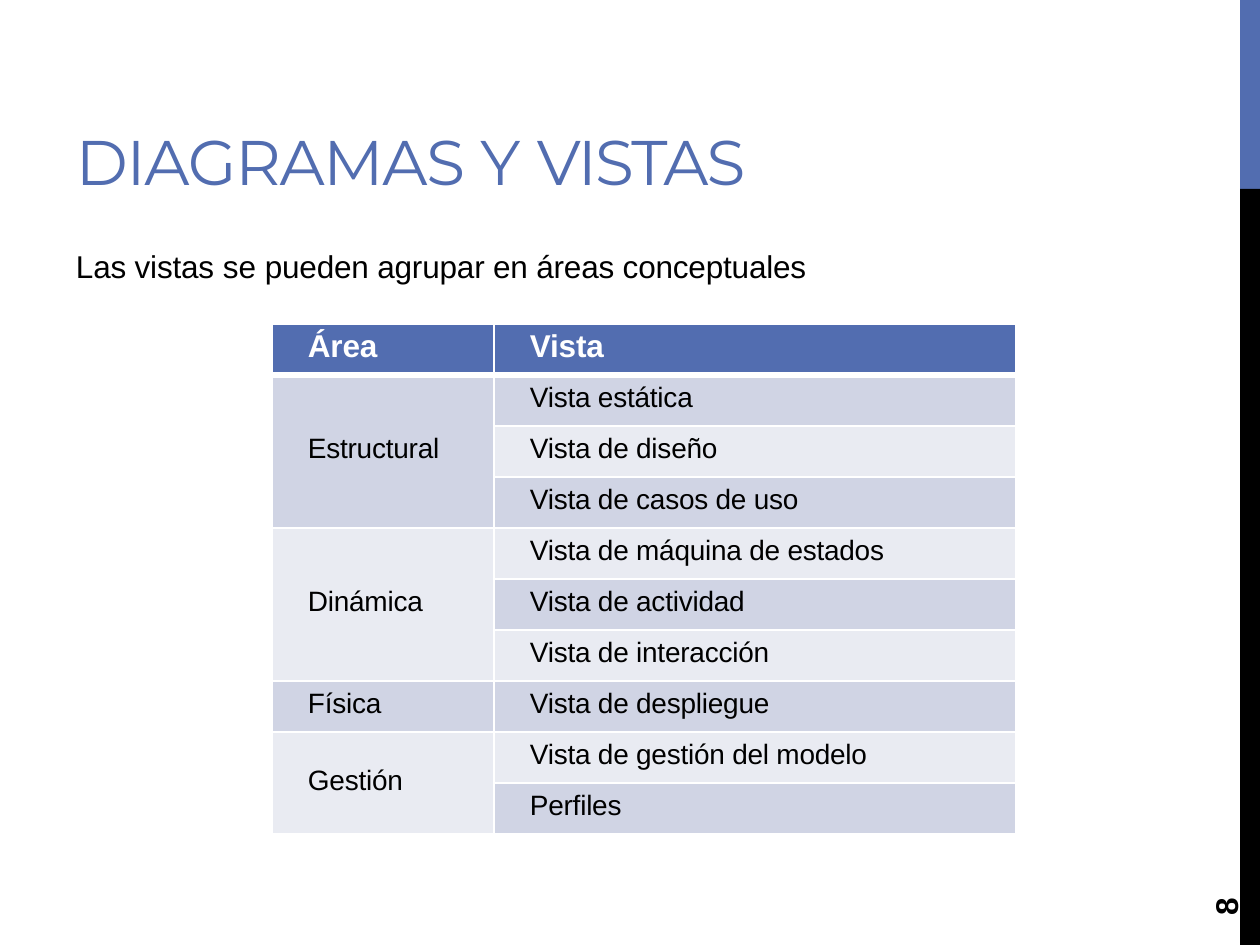
from lxml import etree
from pptx import Presentation
from pptx.dml.color import RGBColor
from pptx.enum.shapes import MSO_SHAPE as Shape
from pptx.enum.text import MSO_ANCHOR as Anchor
from pptx.oxml.ns import qn
from pptx.util import Emu, Pt

SCALE = 914400 / 126
COLORS = {"blue": "526DB0", "black": "000000", "white": "FFFFFF",
          "dark_band": "D0D4E4", "light_band": "E9EBF2"}
AREAS = [
    ("Estructural", ["Vista estática", "Vista de diseño", "Vista de casos de uso"]),
    ("Dinámica", ["Vista de máquina de estados", "Vista de actividad",
                  "Vista de interacción"]),
    ("Física", ["Vista de despliegue"]),
    ("Gestión", ["Vista de gestión del modelo", "Perfiles"]),
]


def px(length):
    return Emu(round(length * SCALE))


def color(name):
    return RGBColor.from_string(COLORS[name])


def add_run(paragraph, text, size, color_name, font="Arial", bold=False, spacing=0):
    run = paragraph.add_run()
    run.text = text
    run.font.size = Pt(size)
    run.font.name = font
    run.font.bold = bold
    run.font.color.rgb = color(color_name)
    # Letter spacing is given in points
    run.font._element.set("spc", str(round(spacing * 100)))


def add_bar(slide, left, top, width, height, color_name):
    bar = slide.shapes.add_shape(Shape.RECTANGLE, px(left), px(top), px(width), px(height))
    bar.shadow.inherit = False
    bar.fill.solid()
    bar.fill.fore_color.rgb = color(color_name)
    bar.line.fill.background()


def add_text(slide, left, top, width, height, runs, size, color_name,
             font="Arial", bold=False):
    box = slide.shapes.add_textbox(px(left), px(top), px(width), px(height))
    frame = box.text_frame
    frame.word_wrap = True
    frame.margin_left = px(2)
    frame.margin_top = px(1)
    frame.margin_right = frame.margin_bottom = 0
    paragraph = frame.paragraphs[0]
    paragraph.space_before = Pt(1)
    for text, spacing in runs:
        add_run(paragraph, text, size, color_name, font, bold, spacing)
    return box


def add_page_number(slide, number):
    box = add_text(slide, 1206, 895, 39, 21, [(number, 0)], 18, "black", bold=True)
    frame = box.text_frame
    frame.margin_top = 0
    frame.paragraphs[0].space_before = Pt(0)
    frame.paragraphs[0].line_spacing = Pt(20.9)
    frame._txBody.bodyPr.set("vert", "vert270")


def set_borders(cell, top=1.5, bottom=1.5):
    properties = cell._tc.get_or_add_tcPr()
    for side, width in (("L", 1.5), ("R", 1.5), ("T", top), ("B", bottom)):
        line = etree.SubElement(properties, qn(f"a:ln{side}"), w=str(Pt(width)))
        fill = etree.SubElement(line, qn("a:solidFill"))
        etree.SubElement(fill, qn("a:srgbClr"), val=COLORS["white"])


def style_cell(cell, row):
    set_borders(cell, top=4.25 if row == 1 else 1.5, bottom=4.25 if row == 0 else 1.5)
    band = "blue" if row == 0 else "dark_band" if row % 2 else "light_band"
    cell.fill.solid()
    cell.fill.fore_color.rgb = color(band)
    cell.vertical_anchor = Anchor.MIDDLE
    cell.margin_left = px(36)
    cell.margin_top = cell.margin_right = 0
    cell.margin_bottom = px(5)


def write_cell(cell, text, header=False):
    size, color_name = (18, "white") if header else (16, "black")
    add_run(cell.text_frame.paragraphs[0], text, size, color_name,
            bold=header, spacing=-0.1)


def add_views_table(slide, left, top, column_widths, row_height):
    row_count = 1 + sum(len(views) for _, views in AREAS)
    table = slide.shapes.add_table(
        row_count, len(column_widths), px(left), px(top),
        px(sum(column_widths)), px(row_height * row_count)).table
    table.first_row = table.horz_banding = False
    for column, width in zip(table.columns, column_widths):
        column.width = px(width)
    for index, row in enumerate(table.rows):
        row.height = px(row_height)
        for cell in row.cells:
            style_cell(cell, index)

    # Header
    for column, heading in enumerate(("Área", "Vista")):
        write_cell(table.cell(0, column), heading, header=True)

    # Each area spans the rows of its views
    first = 1
    for area, views in AREAS:
        last = first + len(views) - 1
        if last > first:
            table.cell(first, 0).merge(table.cell(last, 0))
        write_cell(table.cell(first, 0), area)
        for row, view in enumerate(views, first):
            write_cell(table.cell(row, 1), view)
        first = last + 1


def main():
    presentation = Presentation()
    presentation.slide_width = px(1260)
    presentation.slide_height = px(945)
    slide = presentation.slides.add_slide(presentation.slide_layouts[6])

    # Side bars
    add_bar(slide, 1240, 0, 20, 189, "blue")
    add_bar(slide, 1240, 189, 20, 756, "black")

    # Title and introduction
    add_text(slide, 74, 122, 756, 79,
             [("DIAGRAMAS ", -0.7), ("Y ", 0), ("VISTAS", -1.1)],
             36, "blue", font="Montserrat")
    add_text(slide, 74, 246, 742, 42,
             [("Las vistas ", -0.1), ("se ", 0),
              ("pueden agrupar en áreas conceptuales", -0.1)], 18, "black")

    # Table and page number
    add_views_table(slide, 272, 324, (222, 522), 51)
    add_page_number(slide, "8")
    presentation.save("out.pptx")


if __name__ == "__main__":
    main()
